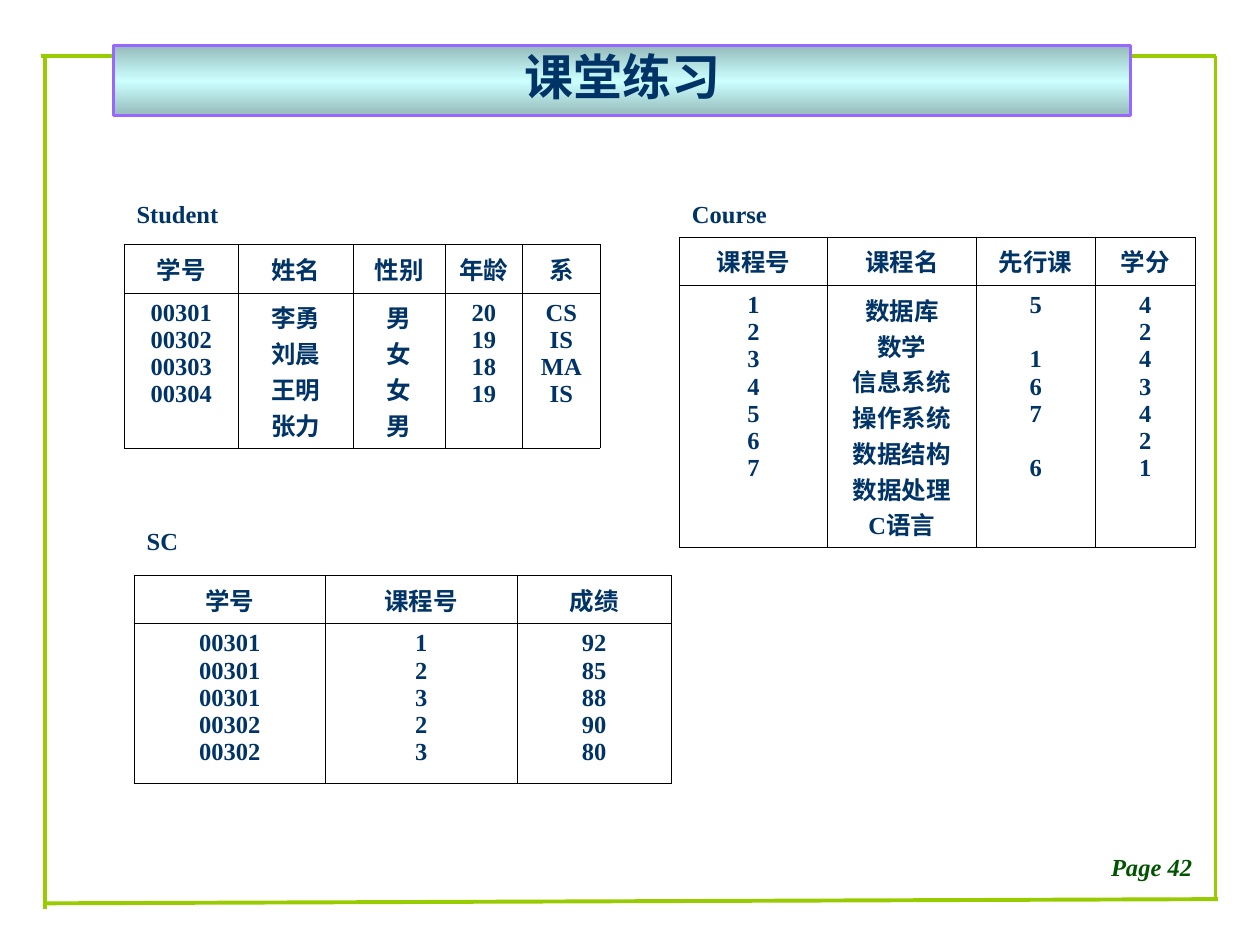
from copy import deepcopy
from typing import NamedTuple

from pptx import Presentation
from pptx.dml.color import RGBColor
from pptx.enum.shapes import MSO_CONNECTOR as Link, MSO_SHAPE as Form
from pptx.enum.text import MSO_ANCHOR as Anchor, MSO_AUTO_SIZE as Fit, PP_ALIGN as Align
from pptx.oxml import parse_xml
from pptx.oxml.ns import nsdecls, qn
from pptx.oxml.xmlchemy import OxmlElement as make
from pptx.util import Pt

GREEN = RGBColor(0x99, 0xCC, 0x00)
FOREST = RGBColor(0x00, 0x54, 0x00)
NAVY = RGBColor(0x00, 0x33, 0x66)
VIOLET = RGBColor(0x99, 0x66, 0xFF)
TEAL = RGBColor(0x96, 0xBB, 0xBB)
AQUA = RGBColor(0xCC, 0xFF, 0xFF)
BLACK = RGBColor(0, 0, 0)
FACE = "Times New Roman"
SIZE = 14
LEAD = 15.5
GAP = "-"


class Edge(NamedTuple):
    x1: float
    y1: float
    x2: float
    y2: float


class Column(NamedTuple):
    width: float
    head: str
    items: str


class Grid(NamedTuple):
    name: str
    left: float
    top: float
    rows: tuple[float, ...]
    cols: tuple[Column, ...]


EDGES = (
    Edge(65, 32, 23.2, 32),
    Edge(25.5, 32, 25.5, 519.6),
    Edge(25.5, 516.2, 696, 513.8),
    Edge(694.6, 32, 694.6, 513.8),
    Edge(694.6, 32, 646.6, 32),
)

GRIDS = (
    Grid("Student", 70.8, 111.4, (28.3, 27.8, 88.5), (
        Column(65.5, "学号", "00301 00302 00303 00304"),
        Column(65.5, "姓名", "李勇 刘晨 王明 张力"),
        Column(52.6, "性别", "男 女 女 男"),
        Column(44.3, "年龄", "20 19 18 19"),
        Column(44.3, "系", "CS IS MA IS"),
    )),
    Grid("Course", 388.2, 111.4, (23.5, 27.8, 149.8), (
        Column(84.8, "课程号", "1 2 3 4 5 6 7"),
        Column(84.8, "课程名", "数据库 数学 信息系统 操作系统 数据结构 数据处理 C语言"),
        Column(68.1, "先行课", "5 - 1 6 7 - 6"),
        Column(57.2, "学分", "4 2 4 3 4 2 1"),
    )),
    Grid("SC", 76.6, 298.4, (30.3, 27.8, 91.2), (
        Column(109.4, "学号", "00301 00301 00301 00302 00302"),
        Column(109.4, "课程号", "1 2 3 2 3"),
        Column(88.3, "成绩", "92 85 88 90 80"),
    )),
)


def write(para, text: str, size: float = SIZE, tint: RGBColor = NAVY,
          align=Align.CENTER, slant: bool = False) -> None:
    """Add one bold run to a paragraph."""
    para.alignment = align
    run = para.add_run()
    run.text = text
    font = run.font
    font.name, font.size, font.bold = FACE, Pt(size), True
    font.italic = slant
    font.color.rgb = tint


def draw_edge(slide, edge: Edge) -> None:
    """Draw one line of the page frame."""
    line = slide.shapes.add_connector(Link.STRAIGHT, *map(Pt, edge))
    line.line.color.rgb = GREEN
    line.line.width = Pt(2.25)
    line._element.spPr.append(make("a:effectLst"))


def draw_page(slide) -> None:
    """Draw the page label."""
    box = slide.shapes.add_textbox(Pt(604.1), Pt(485.5), Pt(108), Pt(22.3))
    frame = box.text_frame
    frame.word_wrap = False
    frame.auto_size = Fit.SHAPE_TO_FIT_TEXT
    para = frame.paragraphs[0]
    para.line_spacing = 0.9
    write(para, "Page 42", tint=FOREST, slant=True)


def draw_title(slide) -> None:
    """Draw the title bar with its three-stop gradient."""
    bar = slide.shapes.add_shape(Form.RECTANGLE, Pt(65), Pt(26.2), Pt(581.2), Pt(39.9))
    bar.shadow.inherit = False
    bar.line.color.rgb = VIOLET
    bar.line.width = Pt(1.5)
    bar.fill.gradient()
    bar.fill.gradient_angle = 270
    stops = bar._element.spPr.find(qn("a:gradFill")).find(qn("a:gsLst"))
    stops.append(deepcopy(stops[-1]))
    for stop, tint, place in zip(bar.fill.gradient_stops, (TEAL, AQUA, TEAL), (0, 0.5, 1)):
        stop.color.rgb, stop.position = tint, place
    frame = bar.text_frame
    frame.word_wrap = True
    frame.vertical_anchor = Anchor.MIDDLE
    para = frame.paragraphs[0]
    para.line_spacing = 0.85
    write(para, "课堂练习", 28)


def rule(cell, shown: str) -> None:
    """Give a cell the shown borders and no fill."""
    props = cell._tc.get_or_add_tcPr()
    for side in "LRTB":
        paint = f'<a:solidFill><a:srgbClr val="{BLACK}"/></a:solidFill>' if side in shown else "<a:noFill/>"
        props.append(parse_xml(f'<a:ln{side} {nsdecls("a")} w="{Pt(0.45)}">{paint}</a:ln{side}>'))
    cell.fill.background()


def fill_list(frame, items: list[str]) -> None:
    """Write one item a line, leaving a line's space for each gap."""
    para, space = frame.paragraphs[0], 0
    for i, item in enumerate(items):
        if item == GAP:
            space += LEAD
            continue
        if i:
            para = frame.add_paragraph()
            para.space_before = Pt(space)
        write(para, item)
        space = 0


def shrink(para) -> None:
    """Keep an empty cell as low as a line of table text."""
    mark = make("a:endParaRPr")
    mark.set("sz", str(SIZE * 100))
    para._p.append(mark)


def draw_grid(slide, grid: Grid) -> None:
    """Draw a named table with a heading row and one list per column."""
    wide = sum(col.width for col in grid.cols)
    table = slide.shapes.add_table(len(grid.rows), len(grid.cols), Pt(grid.left), Pt(grid.top),
                                   Pt(wide), Pt(sum(grid.rows))).table
    table.first_row = table.horz_banding = False
    for row, high in zip(table.rows, grid.rows):
        row.height = Pt(high)
    for i, col in enumerate(grid.cols):
        table.columns[i].width = Pt(col.width)
        name, head, body = (table.cell(j, i) for j in range(3))
        rule(name, "B")
        rule(head, "LRTB")
        rule(body, "LRTB")
        para = name.text_frame.paragraphs[0]
        if i:
            shrink(para)
        else:
            write(para, grid.name, align=Align.LEFT)
        write(head.text_frame.paragraphs[0], col.head)
        fill_list(body.text_frame, col.items.split())


def main() -> None:
    """Build and save the slide."""
    deck = Presentation()
    deck.slide_width, deck.slide_height = Pt(720), Pt(540)
    slide = deck.slides.add_slide(deck.slide_layouts[6])
    for edge in EDGES:
        draw_edge(slide, edge)
    draw_page(slide)
    draw_title(slide)
    for grid in GRIDS:
        draw_grid(slide, grid)
    deck.save("out.pptx")


if __name__ == "__main__":
    main()
